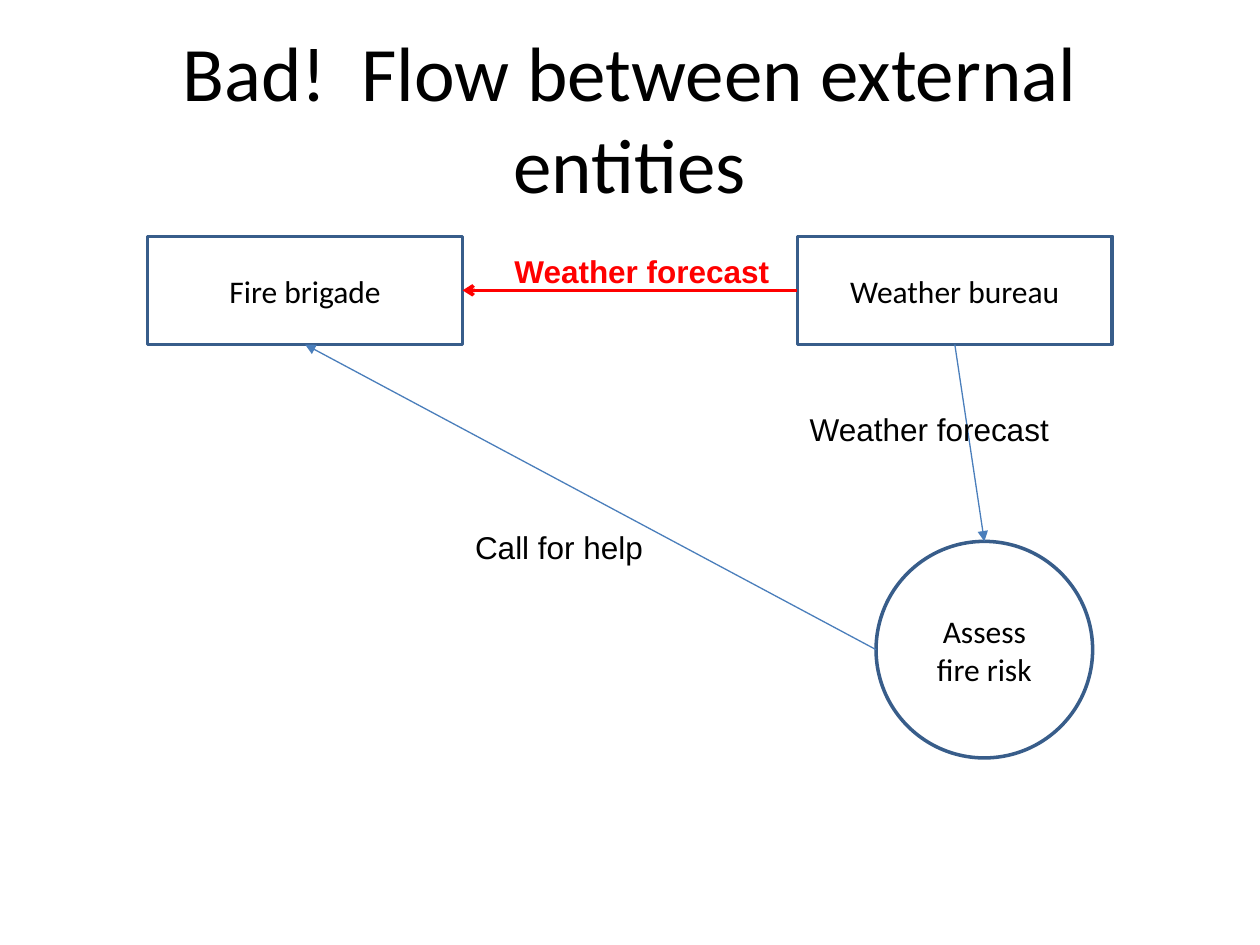
from dataclasses import dataclass

import pptx
import pptx.dml.color
import pptx.enum.shapes
import pptx.enum.text
import pptx.oxml
import pptx.oxml.ns
import pptx.shapes.autoshape
import pptx.shapes.connector
import pptx.slide
import pptx.util

RGBColor = pptx.dml.color.RGBColor
Shape = pptx.enum.shapes.MSO_SHAPE
Align = pptx.enum.text.PP_ALIGN
Anchor = pptx.enum.text.MSO_ANCHOR

BLACK = RGBColor(0x00, 0x00, 0x00)
RED = RGBColor(0xFF, 0x00, 0x00)
OUTLINE = RGBColor(0x38, 0x5D, 0x8A)
FLOW = RGBColor(0x4A, 0x7E, 0xBB)

SLIDE_WIDTH = pptx.util.Inches(10)
SLIDE_HEIGHT = pptx.util.Inches(7.5)
COLUMNS = 64
ROWS = 48
TOP, LEFT, BOTTOM, RIGHT = range(4)


@dataclass(frozen=True)
class Area:
    column: float
    row: float
    columns: float
    rows: float

    def lengths(self) -> tuple[int, int, int, int]:
        return (
            round(self.column * SLIDE_WIDTH / COLUMNS),
            round(self.row * SLIDE_HEIGHT / ROWS),
            round(self.columns * SLIDE_WIDTH / COLUMNS),
            round(self.rows * SLIDE_HEIGHT / ROWS),
        )


@dataclass(frozen=True)
class Style:
    font: str = "Calibri"
    size: float = 18
    color: RGBColor = BLACK
    bold: bool = False
    align: Align = Align.CENTER
    anchor: Anchor = Anchor.MIDDLE


@dataclass(frozen=True)
class Node:
    text: str
    kind: Shape
    area: Area


@dataclass(frozen=True)
class Flow:
    source: str
    source_side: int
    target: str
    target_side: int
    color: RGBColor
    width: float
    head: str


@dataclass(frozen=True)
class Label:
    text: str
    area: Area
    style: Style


PLAIN = Style(font="Arial", align=Align.LEFT, anchor=Anchor.TOP)
WARNING = Style(font="Arial", color=RED, bold=True, align=Align.LEFT, anchor=Anchor.TOP)

TITLE = Label(
    "Bad!  Flow between external entities", Area(3.2, 1.92, 57.6, 8), Style(size=44)
)
NODES = [
    Node("Weather bureau", Shape.RECTANGLE, Area(40.5, 12, 16, 5.5)),
    Node("Fire brigade", Shape.RECTANGLE, Area(7.5, 12, 16, 5.5)),
    Node("Assess fire risk", Shape.OVAL, Area(44.5, 27.5, 11, 11)),
]
FLOWS = [
    Flow("Weather bureau", LEFT, "Fire brigade", RIGHT, RED, 2, "arrow"),
    Flow("Assess fire risk", LEFT, "Fire brigade", BOTTOM, FLOW, 0.75, "triangle"),
    Flow("Weather bureau", BOTTOM, "Assess fire risk", TOP, FLOW, 0.75, "triangle"),
]
LABELS = [
    Label("Weather forecast", Area(25.5, 12.5, 15, 2.5), WARNING),
    Label("Call for help", Area(23.5, 26.5, 14, 2.5), PLAIN),
    Label("Weather forecast", Area(40.5, 20.5, 13.5, 2.5), PLAIN),
]


def write_text(box: pptx.shapes.autoshape.Shape, text: str, style: Style) -> None:
    frame = box.text_frame
    frame.text = text
    frame.word_wrap = True
    frame.vertical_anchor = style.anchor
    para = frame.paragraphs[0]
    para.alignment = style.align
    for span in para.runs:
        span.font.name = style.font
        span.font.size = pptx.util.Pt(style.size)
        span.font.color.rgb = style.color
        span.font.bold = style.bold


def draw_label(page: pptx.slide.Slide, label: Label) -> None:
    box = page.shapes.add_textbox(*label.area.lengths())
    write_text(box, label.text, label.style)
    if label.style.align == Align.LEFT:
        box.text_frame.margin_right = 0


def draw_node(page: pptx.slide.Slide, node: Node) -> pptx.shapes.autoshape.Shape:
    box = page.shapes.add_shape(node.kind, *node.area.lengths())
    box.shadow.inherit = False
    box.fill.background()
    box.line.color.rgb = OUTLINE
    box.line.width = pptx.util.Pt(2)
    write_text(box, node.text, Style())
    return box


def side_point(box: pptx.shapes.autoshape.Shape, side: int) -> tuple[int, int]:
    middle_x = box.left + box.width // 2
    middle_y = box.top + box.height // 2
    return {
        TOP: (middle_x, box.top),
        LEFT: (box.left, middle_y),
        BOTTOM: (middle_x, box.top + box.height),
        RIGHT: (box.left + box.width, middle_y),
    }[side]


def draw_flow(
    page: pptx.slide.Slide, flow: Flow, boxes: dict[str, pptx.shapes.autoshape.Shape]
) -> None:
    source, target = boxes[flow.source], boxes[flow.target]
    arrow = page.shapes.add_connector(
        pptx.enum.shapes.MSO_CONNECTOR.STRAIGHT,
        *side_point(source, flow.source_side),
        *side_point(target, flow.target_side),
    )
    if source.auto_shape_type == Shape.RECTANGLE:
        arrow.begin_connect(source, flow.source_side)
    if target.auto_shape_type == Shape.RECTANGLE:
        arrow.end_connect(target, flow.target_side)
    arrow.line.color.rgb = flow.color
    arrow.line.width = pptx.util.Pt(flow.width)
    namespace = pptx.oxml.ns.nsdecls("a")
    properties = arrow.line._get_or_add_ln()
    properties.append(
        pptx.oxml.parse_xml(f'<a:tailEnd {namespace} type="{flow.head}"/>')
    )
    properties.getparent().append(pptx.oxml.parse_xml(f"<a:effectLst {namespace}/>"))


def main() -> None:
    deck = pptx.Presentation()
    deck.slide_width = SLIDE_WIDTH
    deck.slide_height = SLIDE_HEIGHT
    page = deck.slides.add_slide(deck.slide_layouts[6])
    draw_label(page, TITLE)
    boxes = {node.text: draw_node(page, node) for node in NODES}
    for flow in FLOWS:
        draw_flow(page, flow, boxes)
    for label in LABELS:
        draw_label(page, label)
    deck.save("out.pptx")


if __name__ == "__main__":
    main()
